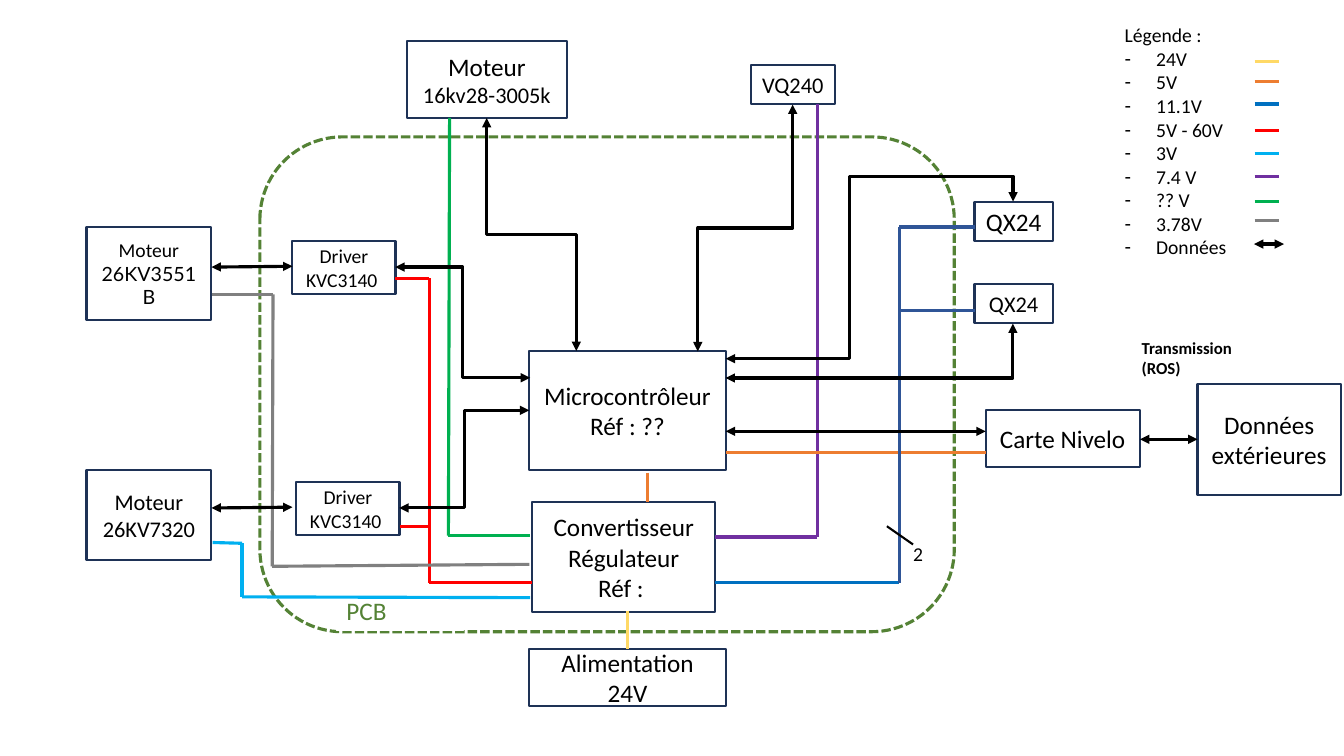
import pptx
import pptx.util
import pptx.dml.color
import pptx.enum.dml
import pptx.enum.shapes
import pptx.enum.text
import pptx.oxml.ns
from lxml import etree

Cm = pptx.util.Cm
Pt = pptx.util.Pt
qn = pptx.oxml.ns.qn
SHAPE = pptx.enum.shapes.MSO_SHAPE
CONNECTOR = pptx.enum.shapes.MSO_CONNECTOR
ALIGN = pptx.enum.text.PP_ALIGN
ANCHOR = pptx.enum.text.MSO_ANCHOR
BLACK, NAVY, GREEN, WHITE = "000000", "1E3256", "548235", "FFFFFF"


def ink(color, value):
    color.rgb = pptx.dml.color.RGBColor.from_string(value)


def wire(kind, ends, color, width=2.25, arrows=False):
    line = page.shapes.add_connector(kind, *[Cm(value) for value in ends])
    ink(line.line.color, color)
    line.line.width = Pt(width)
    properties = line._element.spPr
    etree.SubElement(properties, qn("a:effectLst"))
    if arrows:
        for tip in ("a:headEnd", "a:tailEnd"):
            etree.SubElement(properties.find(qn("a:ln")), qn(tip), type="triangle")
    return line


deck = pptx.Presentation()
deck.slide_width, deck.slide_height = Cm(33.87), Cm(19.05)
page = deck.slides.add_slide(deck.slide_layouts[1])
title = page.shapes.title._element
title.getparent().remove(title)

frame = page.shapes.add_shape(SHAPE.ROUNDED_RECTANGLE, Cm(6.55), Cm(3.45), Cm(17.5), Cm(12.47))
frame.shadow.inherit = False
frame.fill.background()
ink(frame.line.color, GREEN)
frame.line.width = Pt(2.25)
frame.line.dash_style = pptx.enum.dml.MSO_LINE.SQUARE_DOT

driver = [[("Driver", 14)], [("KVC3140\u00a0", 14)]]
blocks = [
    (13.34, 8.84, 4.95, 3, [[("Microcontrôleur", 18)], [("Réf : ??", 18)]]),
    (24.84, 10.34, 3.88, 1.43, [[("Carte Nivelo", 18)]]),
    (13.34, 16.36, 4.95, 1.43, [[("Alimentation 24V", 18)]]),
    (7.37, 6.07, 2.6, 1.35, driver),
    (7.47, 12.14, 2.6, 1.35, driver),
    (10.26, 1.04, 4.02, 1.94, [[("Moteur ", 18), ("16kv28-3005k", 16)]]),
    (13.41, 12.65, 4.62, 2.77,
     [[("Convertisseur", 18)], [("Régulateur", 18)], [("Réf :\u00a0", 18)]]),
    (2.18, 11.84, 3.15, 2.27, [[("Moteur 26KV7320", 16)]]),
    (2.18, 5.72, 3.15, 2.34, [[("Moteur ", 14), ("26KV3551B", 14, "Lato")]]),
    (30.18, 9.68, 3.61, 2.8, [[("Données extérieures", 18)]]),
    (24.56, 5.08, 1.97, 0.99, [[("QX24", 18)]]),
    (24.56, 7.16, 1.97, 0.99, [[("QX24", 16)]]),
    (18.92, 1.63, 2.12, 0.99, [[("VQ240", 16)]]),
]
notes = [
    (28.52, 8.38, 2.82, 1.27, [[("Transmission", 12)], [("(ROS)", 12)]], BLACK, True, False),
    (22.76, 13.54, 0.74, 0.86, [[("2", 14)]], BLACK, False, True),
]
texts = []
for *place, lines in blocks:
    box = page.shapes.add_shape(SHAPE.RECTANGLE, *[Cm(value) for value in place])
    box.shadow.inherit = False
    box.fill.background()
    ink(box.line.color, NAVY)
    box.line.width = Pt(1.5)
    box.text_frame.vertical_anchor = ANCHOR.MIDDLE
    texts.append((box, lines, BLACK, False, True, ALIGN.CENTER))

label = page.shapes.add_shape(SHAPE.RECTANGLE, Cm(8.48), Cm(14.88), Cm(3.2), Cm(1.02))
label.shadow.inherit = False
label.fill.background()
ink(label.line.color, WHITE)
label.line.width = Pt(0.75)
label.text_frame.vertical_anchor = ANCHOR.TOP
texts.append((label, [[("PCB", 18)]], GREEN, False, True, ALIGN.LEFT))

for *place, lines, color, bold, wrap in notes:
    box = page.shapes.add_textbox(*[Cm(value) for value in place])
    texts.append((box, lines, color, bold, wrap, ALIGN.LEFT))

legend_rows = [
    ("24V", "FFD966", 1.55),
    ("5V", "ED7D31", 2.06),
    ("11.1V", "0070C0", 2.62),
    ("5V - 60V", "FF0000", 3.28),
    ("3V", "00B0F0", 3.86),
    ("7.4 V", "7030A0", 4.45),
    ("?? V", "00B050", 5.08),
    ("3.78V", "808080", 5.56),
    ("Données", BLACK, 6.15),
]
legend = page.placeholders[1]
legend_place = {"left": 28.09, "top": 0.46, "width": 3.23, "height": 6.25}
for name, value in legend_place.items():
    setattr(legend, name, Cm(value))
legend.text_frame.auto_size = pptx.enum.text.MSO_AUTO_SIZE.NONE
legend.text_frame.vertical_anchor = ANCHOR.TOP
legend_lines = [[("Légende :\u00a0", 14)]] + [[(name, 14)] for name, *_ in legend_rows]
texts.append((legend, legend_lines, BLACK, False, True, ALIGN.LEFT))

for box, lines, color, bold, wrap, align in texts:
    box.text_frame.word_wrap = wrap
    for number, spans in enumerate(lines):
        para = box.text_frame.paragraphs[0] if number == 0 else box.text_frame.add_paragraph()
        layout = {"alignment": align, "space_before": Pt(0), "line_spacing": 1.0}
        for name, value in layout.items():
            setattr(para, name, value)
        for text, size, *font in spans:
            span = para.add_run()
            span.text = text
            style = {"name": font[0] if font else "Calibri", "size": Pt(size), "bold": bold}
            for name, value in style.items():
                setattr(span.font, name, value)
            ink(span.font.color, color)

for number, para in enumerate(legend.text_frame.paragraphs):
    indent = Cm(0.79) if number else 0
    properties = para._p.get_or_add_pPr()
    properties.set("marL", str(indent))
    properties.set("indent", str(-indent))
    if number:
        etree.SubElement(properties, qn("a:buChar"), char="-")
    else:
        etree.SubElement(properties, qn("a:buNone"))

supplies = [
    ("7030A0", [(20.6, 2.62), (20.6, 13.53), (18.01, 13.53)]),
    ("FFD966", [(15.82, 15.39), (15.82, 16.36)]),
    ("ED7D31", [(16.31, 11.91), (16.31, 12.65)]),
    ("ED7D31", [(18.29, 11.4), (24.84, 11.4)]),
    ("0070C0", [(18.01, 14.68), (22.66, 14.68)]),
    ("2F5597", [(22.66, 14.68), (22.66, 5.72), (24.56, 5.72)]),
    ("2F5597", [(22.66, 7.82), (24.56, 7.82)]),
    ("FF0000", [(9.96, 7.01), (10.82, 7.01), (10.82, 14.68), (13.41, 14.68)]),
    ("FF0000", [(10.08, 13.26), (10.82, 13.26)]),
    ("00B0F0", [(5.36, 13.67), (6.1, 13.69), (6.1, 15.04), (13.36, 15.06)]),
    ("00B050", [(11.33, 2.97), (11.3, 13.5), (13.36, 13.5)]),
    ("808080", [(5.33, 7.42), (6.88, 7.42), (6.86, 14.27), (13.34, 14.22)]),
]
for color, points in supplies:
    for start, end in zip(points, points[1:]):
        wire(CONNECTOR.STRAIGHT, start + end, color)
wire(CONNECTOR.STRAIGHT, (22.35, 13.26, 23.01, 13.72), BLACK, 1.5)

for name, color, height in legend_rows[:-1]:
    wire(CONNECTOR.STRAIGHT, (31.62, height, 32.23, height), color)

data_links = [
    (31.6, 6.15, 32.36, 6.15),
    (28.73, 11.07, 30.18, 11.07),
    (18.29, 10.87, 24.84, 10.87),
    (5.33, 12.8, 7.37, 12.78),
    (5.33, 6.73, 7.37, 6.71),
]
for ends in data_links:
    wire(CONNECTOR.STRAIGHT, ends, BLACK, arrows=True)

data_elbows = [
    (10.06, 10.34, 3.28, 2.46, 180, "flipV", 3, []),
    (21.22, 5.22, 1.37, 7.24, 90, None, 2, []),
    (9.96, 6.73, 3.4, 2.79, 0, None, 3, []),
    (10.46, 4.78, 5.87, 2.26, 270, "flipH", 3, []),
    (15.67, 4.55, 6.22, 2.39, 90, None, 3, []),
    (18.29, 5.08, 7.24, 3.96, 0, "flipV", 4, [43200, 116100]),
]
for left, top, width, height, turn, flip, bends, adjustments in data_elbows:
    ends = (left, top, left + width, top + height)
    elbow = wire(CONNECTOR.ELBOW, ends, BLACK, arrows=True)
    transform = elbow._element.spPr.find(qn("a:xfrm"))
    transform.set("rot", str(turn * 60000))
    if flip:
        transform.set(flip, "1")
    geometry = elbow._element.spPr.find(qn("a:prstGeom"))
    geometry.set("prst", f"bentConnector{bends}")
    for number, value in enumerate(adjustments, 1):
        guides = geometry.find(qn("a:avLst"))
        etree.SubElement(guides, qn("a:gd"), name=f"adj{number}", fmla=f"val {value}")

deck.save("out.pptx")
